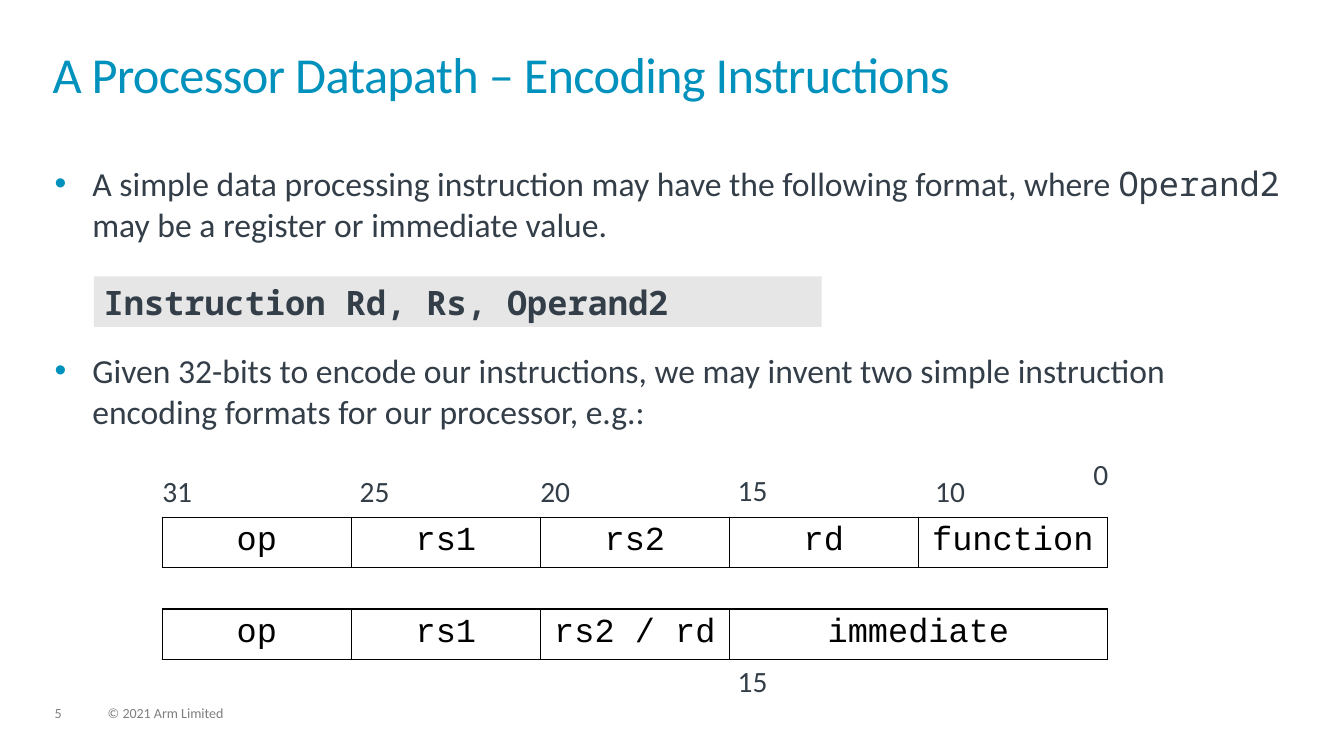
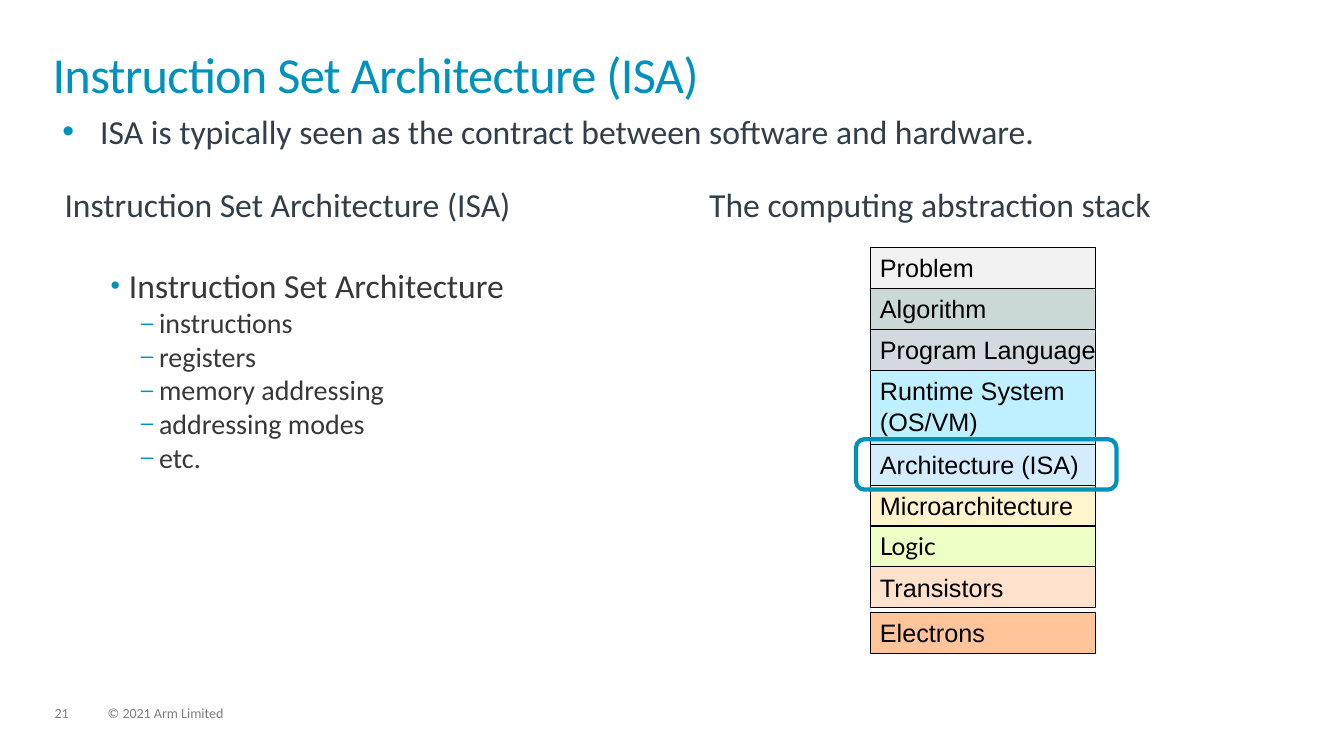
"""Builds two lecture slides on instruction encoding and the instruction set architecture."""
from dataclasses import dataclass

from lxml import etree
from pptx import Presentation
from pptx.dml.color import RGBColor
from pptx.enum import shapes, text
from pptx.oxml import ns
from pptx.util import Pt


@dataclass(frozen=True)
class Theme:
    accent: str = "0091BD"
    ink: str = "333E48"
    list_ink: str = "383838"
    muted: str = "7F7F7F"
    black: str = "000000"
    code_fill: str = "E6E6E6"
    sans: str = "Calibri"
    mono: str = "Noto Sans Mono"
    field_font: str = "Courier New"
    stack_font: str = "Arial"
    title_size: float = 36
    body_size: float = 24
    bit_size: float = 21
    detail_size: float = 20
    stack_size: float = 18
    footer_size: float = 10


THEME = Theme()
COPYRIGHT = "© 2021 Arm Limited"
BULLET = dict(bullet="•", indent=(27, 27))

ENCODING = {
    "number": "5",
    "title": "A Processor Datapath – Encoding Instructions",
    "format": [
        ("A simple data processing instruction may have the following format, where ", THEME.sans),
        ("Operand2", THEME.mono),
        (" may be a register or immediate value.", THEME.sans),
    ],
    "encoding": "Given 32-bits to encode our instructions, we may invent two simple "
                "instruction encoding formats for our processor, e.g.:",
    "syntax": "Instruction Rd, Rs, Operand2",
    "fields": [
        (369.5, [("op", 1), ("rs1", 1), ("rs2", 1), ("rd", 1), ("function", 1)]),
        (435, [("op", 1), ("rs1", 1), ("rs2 / rd", 1), ("immediate", 2)]),
    ],
    "bits": [
        ("31", 116, 340.5), ("25", 257, 340.5), ("20", 386, 340.5), ("15", 527, 340),
        ("10", 668, 340.5), ("0", 781, 329), ("15", 527, 476.5),
    ],
}

ISA = {
    "number": "21",
    "title": "Instruction Set Architecture (ISA)",
    "contract": "ISA is typically seen as the contract between software and hardware.",
    "headings": [("Instruction Set Architecture (ISA)", 39), ("The computing abstraction stack", 499.5)],
    "topic": "Instruction Set Architecture",
    "details": ["instructions", "registers", "memory addressing", "addressing modes", "etc."],
    "stack": [
        (["Problem"], "F2F2F2"),
        (["Algorithm"], "CAD8D6"),
        (["Program Language"], "D2D9DF"),
        (["Runtime System", "(OS/VM)"], "BFF0FF"),
        (["Architecture (ISA)"], "D3EDFF"),
        (["Microarchitecture"], "FFF4CC"),
        (["Logic"], "EDFFC4"),
        (["Transistors"], "FFE1CC"),
        (["Electrons"], "FFC499"),
    ],
}


def rgb(value):
    """Turns a hex string into a colour."""
    return RGBColor.from_string(value)


def write(frame, content, size=THEME.body_size, font=THEME.sans, color=THEME.ink, bold=False,
          align=text.PP_ALIGN.LEFT, line=None, before=0, bullet=None, bullet_scale=100,
          indent=None, level=0, tracking=None, more=False):
    """Writes one paragraph of a string or (string, font) runs, after earlier ones if more is set."""
    paragraph = frame.add_paragraph() if more else frame.paragraphs[0]
    paragraph.alignment, paragraph.level = align, level
    paragraph.space_before = Pt(before)
    if line:
        paragraph.line_spacing = line
    properties = paragraph._p.get_or_add_pPr()
    if indent:
        left, hang = indent
        properties.set("marL", str(Pt(left)))
        properties.set("indent", str(-Pt(hang)))
    if bullet:
        tint = etree.SubElement(properties, ns.qn("a:buClr"))
        etree.SubElement(tint, ns.qn("a:srgbClr"), val=THEME.accent)
        etree.SubElement(properties, ns.qn("a:buSzPct"), val=str(bullet_scale * 1000))
        etree.SubElement(properties, ns.qn("a:buFont"), typeface="Arial")
        etree.SubElement(properties, ns.qn("a:buChar"), char=bullet)
    for words, face in [(content, font)] if isinstance(content, str) else content:
        run = paragraph.add_run()
        run.text = words
        run.font.name, run.font.size, run.font.bold = face, Pt(size), bold
        run.font.color.rgb = rgb(color)
        if tracking:
            run._r.get_or_add_rPr().set("spc", str(int(tracking * 100)))


def clear_margins(frame):
    """Removes the inner margins of a text frame."""
    frame.margin_left = frame.margin_right = frame.margin_top = frame.margin_bottom = 0


def text_area(slide, left, top, width, height, margins=True):
    """Adds a wrapping text box and returns its frame."""
    frame = slide.shapes.add_textbox(Pt(left), Pt(top), Pt(width), Pt(height)).text_frame
    frame.word_wrap = True
    if not margins:
        clear_margins(frame)
    return frame


def block(slide, left, top, width, height, fill=None, line=None, weight=0.75,
          kind=shapes.MSO_SHAPE.RECTANGLE):
    """Adds a flat preset shape."""
    shape = slide.shapes.add_shape(kind, Pt(left), Pt(top), Pt(width), Pt(height))
    shape.shadow.inherit = False
    if fill:
        shape.fill.solid()
        shape.fill.fore_color.rgb = rgb(fill)
    else:
        shape.fill.background()
    if line:
        shape.line.color.rgb = rgb(line)
        shape.line.width = Pt(weight)
    else:
        shape.line.fill.background()
    return shape


def start_slide(deck, content):
    """Adds a slide with the shared title and footer."""
    slide = deck.slides.add_slide(deck.slide_layouts[5])
    title = slide.shapes.title
    title.left, title.top, title.width, title.height = Pt(37.5), Pt(37.5), Pt(884), Pt(52)
    frame = title.text_frame
    frame.auto_size = text.MSO_AUTO_SIZE.NONE
    frame.vertical_anchor = text.MSO_ANCHOR.TOP
    frame.word_wrap = True
    clear_margins(frame)
    write(frame, content["title"], size=THEME.title_size, color=THEME.accent, line=0.85, tracking=-0.5)
    for words, left, width in [(content["number"], 39, 24), (COPYRIGHT, 77, 365)]:
        write(text_area(slide, left, 504.5, width, 11, margins=False), words,
              size=THEME.footer_size, color=THEME.muted, line=0.9)
    return slide


def add_fields(slide, top, fields, left=116, unit=135, height=36):
    """Adds a one-row table of instruction fields, each some units wide."""
    total = unit * sum(span for _, span in fields)
    table = slide.shapes.add_table(1, len(fields), Pt(left), Pt(top), Pt(total), Pt(height)).table
    table.first_row = table.horz_banding = False
    for column, (field, span) in enumerate(fields):
        table.columns[column].width = Pt(unit * span)
        cell = table.cell(0, column)
        write(cell.text_frame, field, font=THEME.field_font, color=THEME.black,
              align=text.PP_ALIGN.CENTER)
        properties = cell._tc.get_or_add_tcPr()
        for side in ("lnL", "lnR", "lnT", "lnB"):
            border = etree.SubElement(properties, ns.qn("a:" + side), w=str(Pt(1)))
            paint = etree.SubElement(border, ns.qn("a:solidFill"))
            etree.SubElement(paint, ns.qn("a:srgbClr"), val=THEME.black)
        cell.fill.background()


def add_encoding(deck, content):
    """Builds the slide on encoding instructions."""
    slide = start_slide(deck, content)
    body = text_area(slide, 39, 116.5, 881, 212, margins=False)
    write(body, content["format"], **BULLET)
    write(body, content["encoding"], before=76, more=True, **BULLET)
    syntax = block(slide, 67, 197.5, 520, 36, fill=THEME.code_fill).text_frame
    syntax.vertical_anchor = text.MSO_ANCHOR.MIDDLE
    write(syntax, content["syntax"], font=THEME.mono, bold=True)
    for top, fields in content["fields"]:
        add_fields(slide, top, fields)
    for bit, left, top in content["bits"]:
        write(text_area(slide, left, top, 47, 23, margins=False), bit, size=THEME.bit_size, line=0.9)


def add_stack(slide, layers, left=621.5, top=177, width=161, pitch=29.25):
    """Stacks the abstraction layers and frames the ISA layer."""
    for lines, fill in layers:
        name = lines[0]
        height = pitch if len(lines) == 1 else 52.5
        if name == "Electrons":
            top += 3.5
        frame = block(slide, left, top, width, height, fill=fill, line=THEME.black).text_frame
        frame.word_wrap = False
        frame.vertical_anchor = text.MSO_ANCHOR.TOP
        style = dict(font="Lato", size=17.5) if name == "Logic" else dict(
            font=THEME.stack_font, size=THEME.stack_size)
        for index, words in enumerate(lines):
            write(frame, words, color=THEME.black, more=index > 0, **style)
        if name == "Architecture (ISA)":
            isa_top = top
        top += height
    block(slide, left - 10, isa_top - 3.5, 186, 36, line=THEME.accent, weight=3,
          kind=shapes.MSO_SHAPE.ROUNDED_RECTANGLE)


def add_isa(deck, content):
    """Builds the slide on the instruction set architecture."""
    slide = start_slide(deck, content)
    write(text_area(slide, 37.5, 75.5, 881, 27), content["contract"], **BULLET)
    for heading, left in content["headings"]:
        write(text_area(slide, left, 127.5, 420, 44), heading)
    topics = text_area(slide, 39, 186, 420, 284)
    style = dict(color=THEME.list_ink, bullet_scale=80)
    write(topics, content["topic"], bullet="•", indent=(46, 13), level=1, **style)
    for detail in content["details"]:
        write(topics, detail, size=THEME.detail_size, bullet="–", indent=(67.5, 13), level=2,
              more=True, **style)
    add_stack(slide, content["stack"])


def main():
    """Builds and saves the deck."""
    deck = Presentation()
    deck.slide_width, deck.slide_height = Pt(960), Pt(540)
    add_encoding(deck, ENCODING)
    add_isa(deck, ISA)
    deck.save("out.pptx")


if __name__ == "__main__":
    main()
